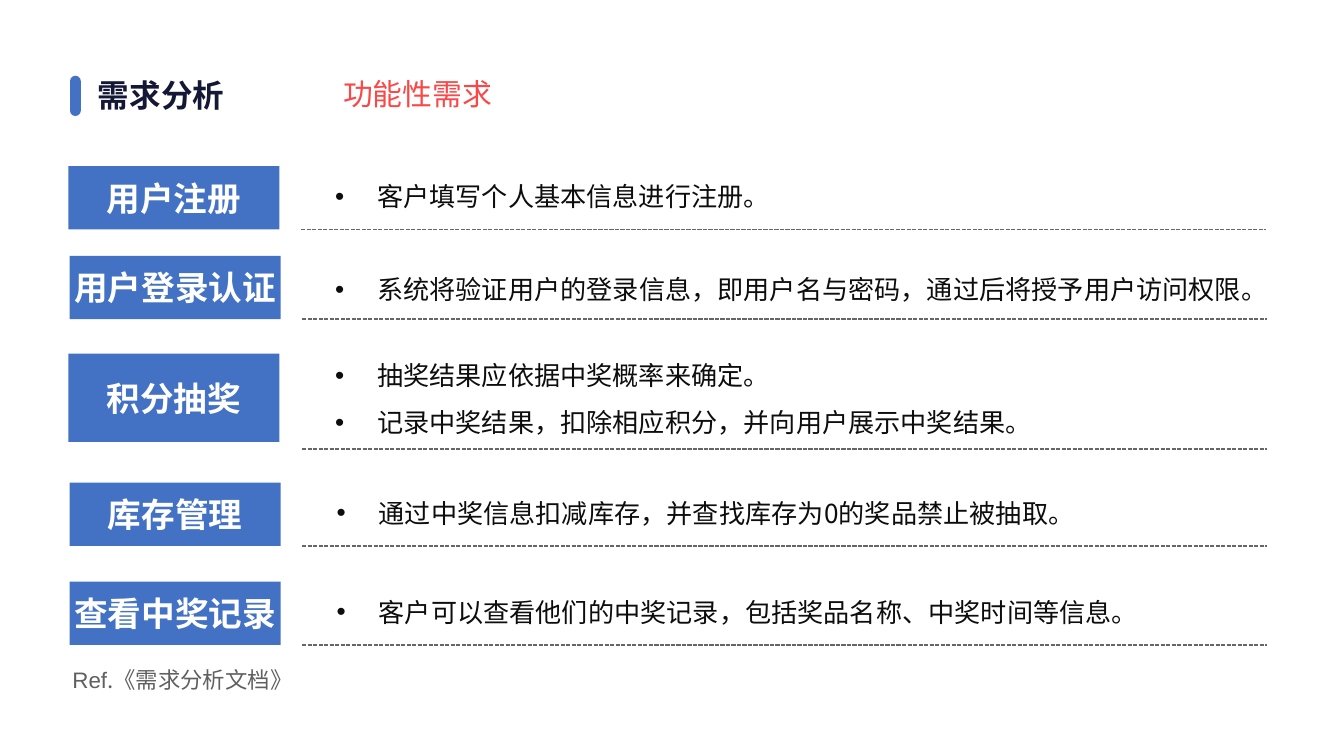
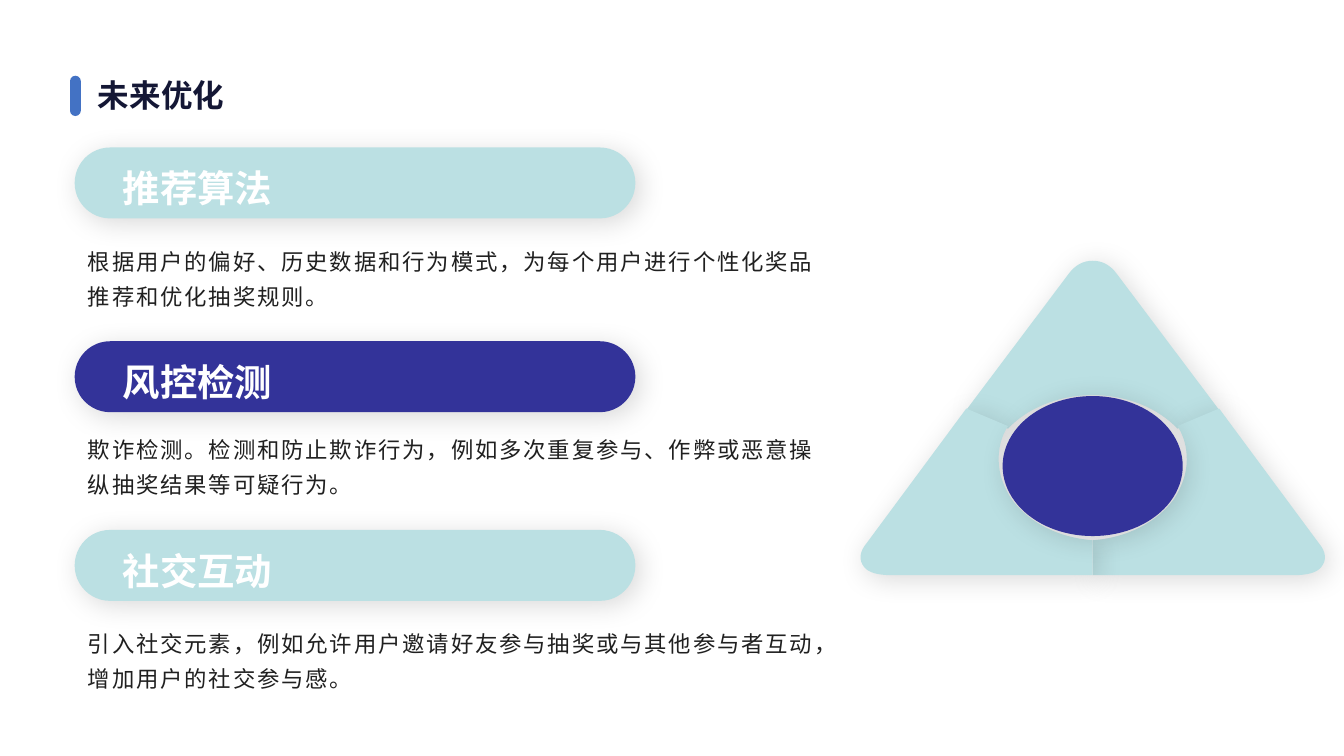
from dataclasses import dataclass

from lxml import etree
from pptx import Presentation
from pptx import util as u
from pptx.dml.color import RGBColor
from pptx.enum import dml, shapes, text
from pptx.oxml.ns import qn

Pt = u.Pt


@dataclass(frozen=True)
class Theme:
    font: str = "Noto Sans CJK SC"
    latin: str = "Arial"
    blue: str = "4372C4"
    navy: str = "141735"
    red: str = "FA4848"
    ink: str = "0D0D0D"
    body_ink: str = "202020"
    grey: str = "606060"
    rule: str = "666666"
    white: str = "FFFFFF"
    aqua: str = "BBE0E3"
    indigo: str = "333399"
    title: float = 16.9
    subtitle: float = 16
    label: float = 18
    bullet: float = 14
    note: float = 12
    pill: float = 20


@dataclass(frozen=True)
class Box:
    left: float
    top: float
    width: float
    height: float

    def inner(self, left, top, width, height):
        return Box(self.left + left, self.top + top, width, height)

    def lengths(self):
        return Pt(self.left), Pt(self.top), Pt(self.width), Pt(self.height)


@dataclass(frozen=True)
class Requirement:
    label: str
    top: float
    bullets: tuple
    height: float = 33.9
    label_left: float = 0.7
    text_left: float = 135.8
    rule_left: float = 125.2
    rule_gap: float = 0
    text_shift: float = 0
    text_width: float = 488
    text_height: float = 26.6
    spacing: float = 1.25


THEME = Theme()
PAGE = Box(0, 0, 720, 405)

REQUIREMENTS = (
    Requirement("用户注册", 0, ("客户填写个人基本信息进行注册。",),
                label_left=0, rule_left=124.7),
    Requirement("用户登录认证", 48,
                ("系统将验证用户的登录信息，即用户名与密码，通过后将授予用户访问权限。",),
                text_shift=1.8, text_width=517),
    Requirement("积分抽奖", 100.3,
                ("抽奖结果应依据中奖概率来确定。",
                 "记录中奖结果，扣除相应积分，并向用户展示中奖结果。"),
                height=47.4, label_left=0, rule_gap=3.8, text_shift=-8.7,
                text_height=55.4, spacing=1.5),
    Requirement("库存管理", 169.5, ("通过中奖信息扣减库存，并查找库存为0的奖品禁止被抽取。",),
                text_left=136.6),
    Requirement("查看中奖记录", 222.5, ("客户可以查看他们的中奖记录，包括奖品名称、中奖时间等信息。",),
                text_left=136.6),
)

OPTIMIZATIONS = (
    ("推荐算法", THEME.aqua, 0, 46,
     "根据用户的偏好、历史数据和行为模式，为每个用户进行个性化奖品推荐和优化抽奖规则。"),
    ("风控检测", THEME.indigo, 103.8, 42.8,
     "欺诈检测。检测和防止欺诈行为，例如多次重复参与、作弊或恶意操纵抽奖结果等可疑行为。"),
    ("社交互动", THEME.aqua, 204.9, 46,
     "引入社交元素，例如允许用户邀请好友参与抽奖或与其他参与者互动，增加用户的社交参与感。"),
)

TIP = (
    ((45.4, 90),), ((67.7, 79.9),), ((13, 7.2),),
    ((9.4, 2.2), (5, 0), (0, 0)), ((-5, 0), (-9.4, 2.2), (-13, 7.2)),
    ((-67.7, 79.9),), ((-45.4, 90),),
    ((-35.3, 79.2), (-18.7, 72), (0, 72)), ((18.7, 72), (35.3, 79.2), (45.4, 90)),
)
RIGHT_CORNER = (
    ((121, 151.2),), ((67.7, 79.2),), ((45.4, 88.6),),
    ((49, 94.3), (50.4, 100.1), (50.4, 106.6)),
    ((50.4, 114.5), (47.5, 121.7), (43.2, 128.2)),
    ((33.8, 140.4), (18.7, 148.3), (0, 149.8)),
    ((0, 168.5),), ((108, 168.5),),
    ((115.2, 168.5), (120.2, 167), (122.4, 164.2)),
    ((125.3, 160.6), (125.3, 156.2), (121, 151.2)),
)
LEFT_CORNER = tuple(tuple((-x, y) for x, y in segment) for segment in RIGHT_CORNER)


def add_run(paragraph, words, size, color, bold=False, font=THEME.font, tracking=0):
    run = paragraph.add_run()
    run.text = words
    run.font.size = Pt(size)
    run.font.bold = bold
    run.font.color.rgb = RGBColor.from_string(color)
    run.font.name = font
    properties = run.font._element
    etree.SubElement(properties, qn("a:ea")).set("typeface", font)
    if tracking:
        properties.set("spc", str(tracking * 100))


def add_bullet(paragraph, indent):
    properties = paragraph._p.get_or_add_pPr()
    properties.set("marL", str(Pt(indent)))
    properties.set("indent", str(-Pt(indent)))
    etree.SubElement(properties, qn("a:buFont")).set("typeface", THEME.latin)
    etree.SubElement(properties, qn("a:buChar")).set("char", "•")


def set_margins(frame, horizontal, vertical):
    frame.margin_left = frame.margin_right = Pt(horizontal)
    frame.margin_top = frame.margin_bottom = Pt(vertical)


def add_text_frame(slide, box, grow=True):
    frame = slide.shapes.add_textbox(*box.lengths()).text_frame
    frame.word_wrap = True
    if grow:
        frame.auto_size = text.MSO_AUTO_SIZE.SHAPE_TO_FIT_TEXT
    return frame


def paint(shape, color, shadow=False):
    shape.fill.solid()
    shape.fill.fore_color.rgb = RGBColor.from_string(color)
    shape.line.fill.background()
    shape.shadow.inherit = False
    if shadow:
        effects = shape._element.spPr.find(qn("a:effectLst"))
        outer = etree.SubElement(effects, qn("a:outerShdw"), blurRad=str(Pt(15)),
                                 dist=str(Pt(3)), dir="2700000", algn="tl", rotWithShape="0")
        tint = etree.SubElement(outer, qn("a:srgbClr"), val="000000")
        etree.SubElement(tint, qn("a:alpha"), val="15000")


def add_block(slide, kind, box, color, shadow=False):
    shape = slide.shapes.add_shape(kind, *box.lengths())
    if kind == shapes.MSO_SHAPE.ROUNDED_RECTANGLE:
        shape.adjustments[0] = 0.5
    paint(shape, color, shadow)
    return shape


def add_rule(slide, left, top, right):
    connector = slide.shapes.add_connector(
        shapes.MSO_CONNECTOR.STRAIGHT, Pt(left), Pt(top), Pt(right), Pt(top))
    connector.line.color.rgb = RGBColor.from_string(THEME.rule)
    connector.line.width = Pt(0.75)
    connector.line.dash_style = dml.MSO_LINE.SQUARE_DOT
    etree.SubElement(connector._element.spPr, qn("a:effectLst"))


def add_header(slide, box, title):
    add_block(slide, shapes.MSO_SHAPE.ROUNDED_RECTANGLE,
              Box(box.left, 40.6, 5.8, 21.6), THEME.blue)
    frame = add_text_frame(slide, box.inner(7.9, 0, box.width - 7.9, box.height), grow=False)
    frame.vertical_anchor = text.MSO_ANCHOR.MIDDLE
    add_run(frame.paragraphs[0], title, THEME.title, THEME.navy, bold=True)


def add_subtitle(slide, box, words):
    frame = add_text_frame(slide, box)
    set_margins(frame, 5, 2.9)
    frame.paragraphs[0].line_spacing = 0.9
    add_run(frame.paragraphs[0], words, THEME.subtitle, THEME.red)


def add_requirement(slide, box, requirement):
    label = add_block(slide, shapes.MSO_SHAPE.RECTANGLE,
                      box.inner(requirement.label_left, 0, 113, requirement.height), THEME.blue)
    frame = label.text_frame
    frame.word_wrap = True
    frame.vertical_anchor = text.MSO_ANCHOR.MIDDLE
    set_margins(frame, 0.7, 0.7)
    frame.paragraphs[0].alignment = text.PP_ALIGN.CENTER
    add_run(frame.paragraphs[0], requirement.label, THEME.label, THEME.white, bold=True)

    frame = add_text_frame(slide, box.inner(
        requirement.text_left, requirement.text_shift,
        requirement.text_width, requirement.text_height))
    for index, words in enumerate(requirement.bullets):
        paragraph = frame.add_paragraph() if index else frame.paragraphs[0]
        add_bullet(paragraph, 22.5)
        paragraph.alignment = text.PP_ALIGN.JUSTIFY
        paragraph.line_spacing = requirement.spacing
        add_run(paragraph, words, THEME.bullet, THEME.ink)

    add_rule(slide, box.left + requirement.rule_left,
             box.top + requirement.height + requirement.rule_gap,
             box.left + requirement.rule_left + 517)


def add_reference(slide, box):
    paragraph = add_text_frame(slide, box).paragraphs[0]
    paragraph.alignment = text.PP_ALIGN.JUSTIFY
    add_run(paragraph, "Ref", THEME.note, THEME.grey, font=THEME.latin)
    add_run(paragraph, ".《需求分析文档》", THEME.note, THEME.grey)


def add_optimization_text(slide, box, title, body_shift, body):
    frame = add_text_frame(slide, box.inner(0, body_shift, box.width, 43.2))
    frame.paragraphs[0].line_spacing = 1.3
    add_run(frame.paragraphs[0], body, THEME.note, THEME.body_ink, tracking=1)
    frame = add_text_frame(slide, box.inner(16.6, -1.1, 98.6, 36))
    frame.paragraphs[0].alignment = text.PP_ALIGN.CENTER
    frame.paragraphs[0].line_spacing = 1.3
    add_run(frame.paragraphs[0], title, THEME.pill, THEME.white, bold=True)


def add_piece(slide, box, axis, segments):
    right, bottom = box.left + box.width, box.top + box.height
    builder = slide.shapes.build_freeform(Pt(box.left), Pt(box.top))
    builder.add_line_segments([(Pt(right), Pt(box.top)), (Pt(right), Pt(bottom)),
                               (Pt(box.left), Pt(bottom))])
    shape = builder.convert_to_shape()
    outline = shape._element.spPr.find(".//" + qn("a:path"))
    for step in list(outline):
        outline.remove(step)
    for index, segment in enumerate(segments):
        kind = "a:cubicBezTo" if len(segment) == 3 else "a:lnTo" if index else "a:moveTo"
        command = etree.SubElement(outline, qn(kind))
        for x, y in segment:
            etree.SubElement(command, qn("a:pt"), x=str(Pt(axis + x - box.left)),
                             y=str(Pt(y + axis_top(box, segments))))
    etree.SubElement(outline, qn("a:close"))
    paint(shape, THEME.aqua, shadow=True)


def axis_top(box, segments):
    return box.height - max(y for segment in segments for x, y in segment)


def add_triangle(slide, box):
    middle = box.width / 2
    axis = box.left + middle
    add_piece(slide, box.inner(middle - 67.7, 0, 135.4, 90), axis, TIP)
    add_piece(slide, box.inner(middle, 79.2, middle, 89.3), axis, RIGHT_CORNER)
    add_piece(slide, box.inner(0, 79.2, middle, 89.3), axis, LEFT_CORNER)
    add_block(slide, shapes.MSO_SHAPE.OVAL,
              box.inner(middle - 48.25, 72.5, 96.5, 75), THEME.indigo, shadow=True)


def add_page(presentation, title, top, height):
    slide = presentation.slides.add_slide(presentation.slide_layouts[6])
    add_header(slide, PAGE.inner(37.5, top, 637, height), title)
    return slide


def build_requirements(presentation):
    slide = add_page(presentation, "需求分析", 36.7, 28.8)
    area = PAGE.inner(36.7, 89.1, 642, 257)
    for requirement in REQUIREMENTS:
        add_requirement(slide, area.inner(0, requirement.top, area.width, requirement.height),
                        requirement)
    add_subtitle(slide, PAGE.inner(178.9, 40, 162.7, 23), "功能性需求")
    add_reference(slide, PAGE.inner(31.7, 353.5, 435.6, 21.6))


def build_optimizations(presentation):
    slide = add_page(presentation, "未来优化", 31.5, 38.2)
    add_triangle(slide, PAGE.inner(461.6, 139.7, 247.6, 168.5))
    area = PAGE.inner(40, 79, 406.8, 294)
    for title, color, top, body_shift, body in OPTIMIZATIONS:
        add_block(slide, shapes.MSO_SHAPE.ROUNDED_RECTANGLE,
                  area.inner(0, top, 300.4, 38), color, shadow=True)
    for title, color, top, body_shift, body in OPTIMIZATIONS:
        add_optimization_text(slide, area.inner(0, top, area.width, 90), title, body_shift, body)


def main():
    presentation = Presentation()
    presentation.slide_width = Pt(PAGE.width)
    presentation.slide_height = Pt(PAGE.height)
    build_requirements(presentation)
    build_optimizations(presentation)
    presentation.save("out.pptx")


if __name__ == "__main__":
    main()
